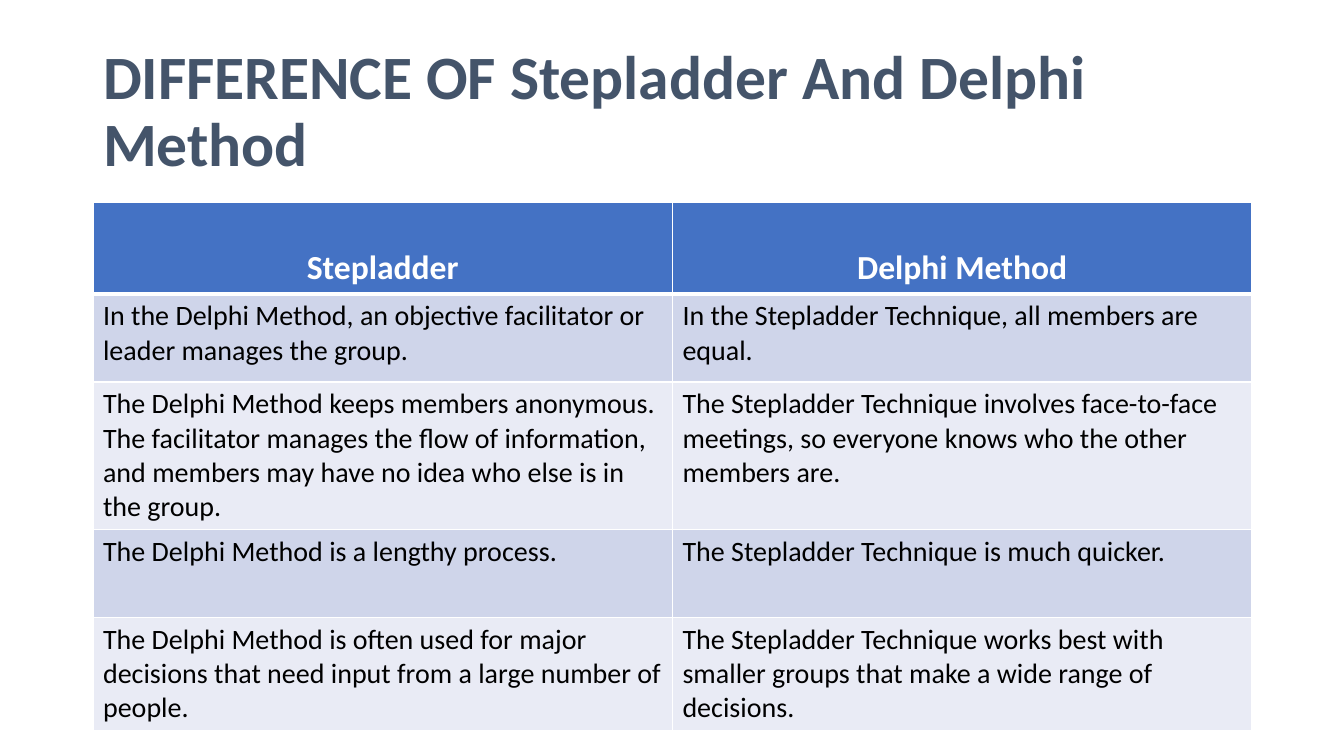
from dataclasses import dataclass

from lxml import etree
from pptx import Presentation
from pptx import util as u
from pptx.dml import color
from pptx.enum import text
from pptx.oxml import ns

EMU_PER_PX = 914400 / 100.8


def px(length):
    return u.Emu(round(length * EMU_PER_PX))


@dataclass(frozen=True)
class Theme:
    font: str = "Calibri"
    title_color: str = "44546A"
    header_fill: str = "4472C4"
    band_fills: tuple = ("CFD5EA", "E9EBF5")
    white: str = "FFFFFF"
    black: str = "000000"
    title_size: int = 44
    header_size: int = 24
    body_size: int = 20
    border: int = 1
    header_border: int = 3


class SlideBuilder:
    def __init__(self, presentation, theme):
        self.theme = theme
        self.slide = presentation.slides.add_slide(presentation.slide_layouts[5])

    def add_run(self, paragraph, words, size, ink, bold=False):
        run = paragraph.add_run()
        run.text = words
        run.font.name = self.theme.font
        run.font.size = u.Pt(size)
        run.font.bold = bold
        run.font.color.rgb = color.RGBColor.from_string(ink)

    def title(self, words, left, top, width, height):
        shape = self.slide.shapes.title
        shape.left, shape.top = px(left), px(top)
        shape.width, shape.height = px(width), px(height)
        frame = shape.text_frame
        frame.word_wrap = True
        frame.auto_size = text.MSO_AUTO_SIZE.NONE
        frame.vertical_anchor = text.MSO_ANCHOR.MIDDLE
        paragraph = frame.paragraphs[0]
        paragraph.alignment = text.PP_ALIGN.LEFT
        paragraph.line_spacing = 0.9
        self.add_run(paragraph, words, self.theme.title_size, self.theme.title_color, True)

    def borders(self, cell, widths):
        properties = cell._tc.get_or_add_tcPr()
        for side, width in widths.items():
            line = etree.SubElement(properties, ns.qn(f"a:ln{side}"), w=str(u.Pt(width)))
            fill = etree.SubElement(line, ns.qn("a:solidFill"))
            etree.SubElement(fill, ns.qn("a:srgbClr"), val=self.theme.white)

    def cell(self, cell, words, row):
        theme = self.theme
        paragraph = cell.text_frame.paragraphs[0]
        widths = dict.fromkeys("LRTB", theme.border)
        if row == 0:
            widths["B"] = theme.header_border
            fill = theme.header_fill
            paragraph.alignment = text.PP_ALIGN.CENTER
            paragraph.line_spacing = 2.0
            self.add_run(paragraph, words, theme.header_size, theme.white, True)
        else:
            if row == 1:
                widths["T"] = theme.header_border
            fill = theme.band_fills[(row - 1) % 2]
            self.add_run(paragraph, words, theme.body_size, theme.black)
        self.borders(cell, widths)
        cell.fill.solid()
        cell.fill.fore_color.rgb = color.RGBColor.from_string(fill)

    def table(self, rows, left, top, width, row_height):
        frame = self.slide.shapes.add_table(
            len(rows), len(rows[0]), px(left), px(top), px(width), px(row_height * len(rows))
        )
        for row, entries in enumerate(rows):
            frame.table.rows[row].height = px(row_height)
            for column, words in enumerate(entries):
                self.cell(frame.table.cell(row, column), words, row)


COMPARISON = [
    ("Stepladder", "Delphi Method"),
    (
        "In the Delphi Method, an objective facilitator or leader manages the group.",
        "In the Stepladder Technique, all members are equal.",
    ),
    (
        "The Delphi Method keeps members anonymous. The facilitator manages the flow of "
        "information, and members may have no idea who else is in the group.",
        "The Stepladder Technique involves face-to-face meetings, so everyone knows who "
        "the other members are.",
    ),
    (
        "The Delphi Method is a lengthy process.",
        "The Stepladder Technique is much quicker.",
    ),
    (
        "The Delphi Method is often used for major decisions that need input from a large "
        "number of people.",
        "The Stepladder Technique works best with smaller groups that make a wide range of "
        "decisions.",
    ),
]


def main():
    presentation = Presentation()
    presentation.slide_width, presentation.slide_height = px(1344), px(756)
    builder = SlideBuilder(presentation, Theme())
    builder.title("DIFFERENCE OF Stepladder And Delphi Method", 93, 40, 1159, 146)
    builder.table(COMPARISON, 93, 202, 1159, 88)
    presentation.save("out.pptx")


if __name__ == "__main__":
    main()
